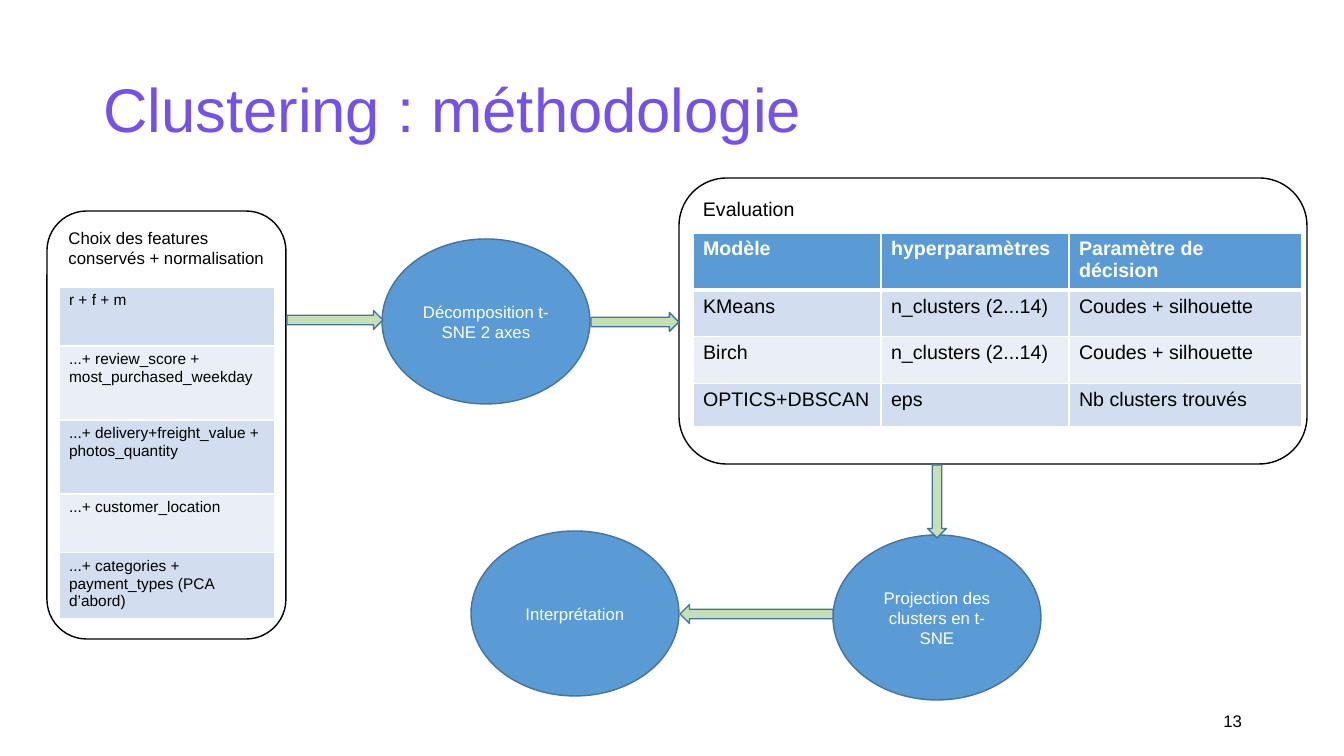
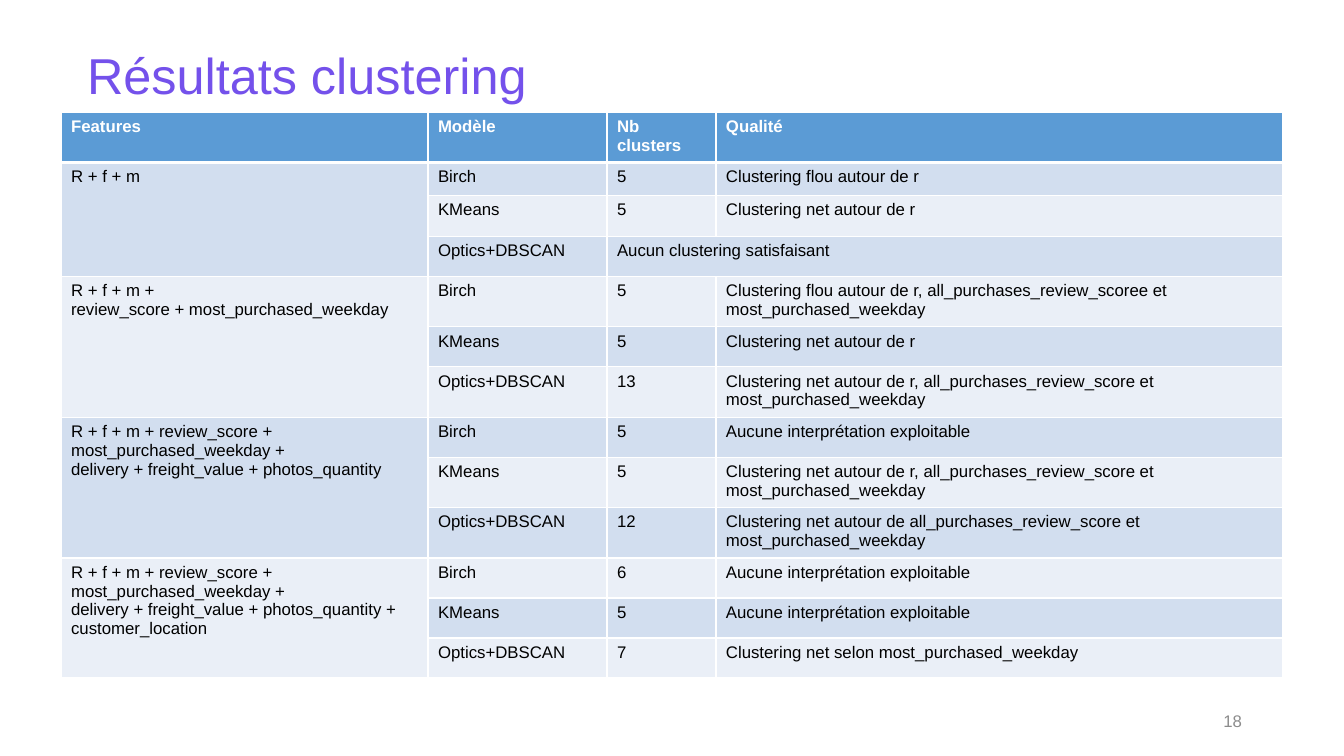
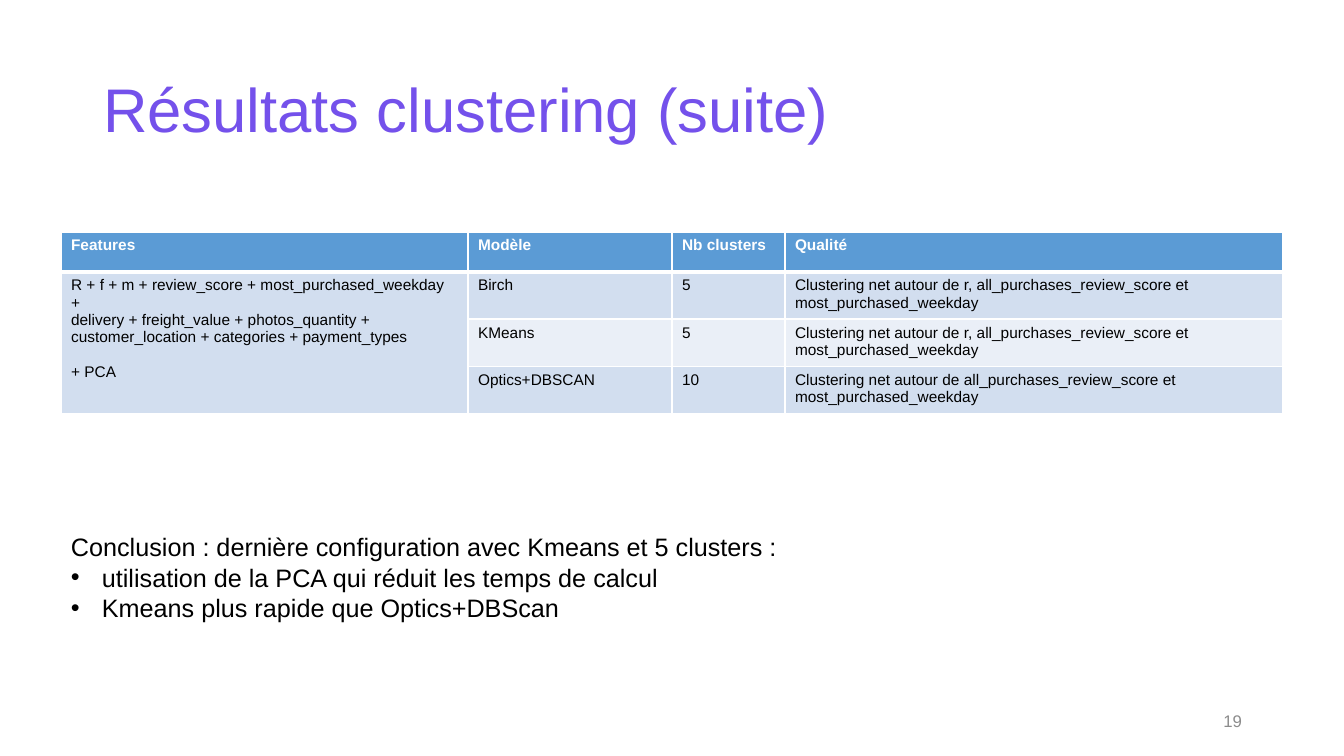
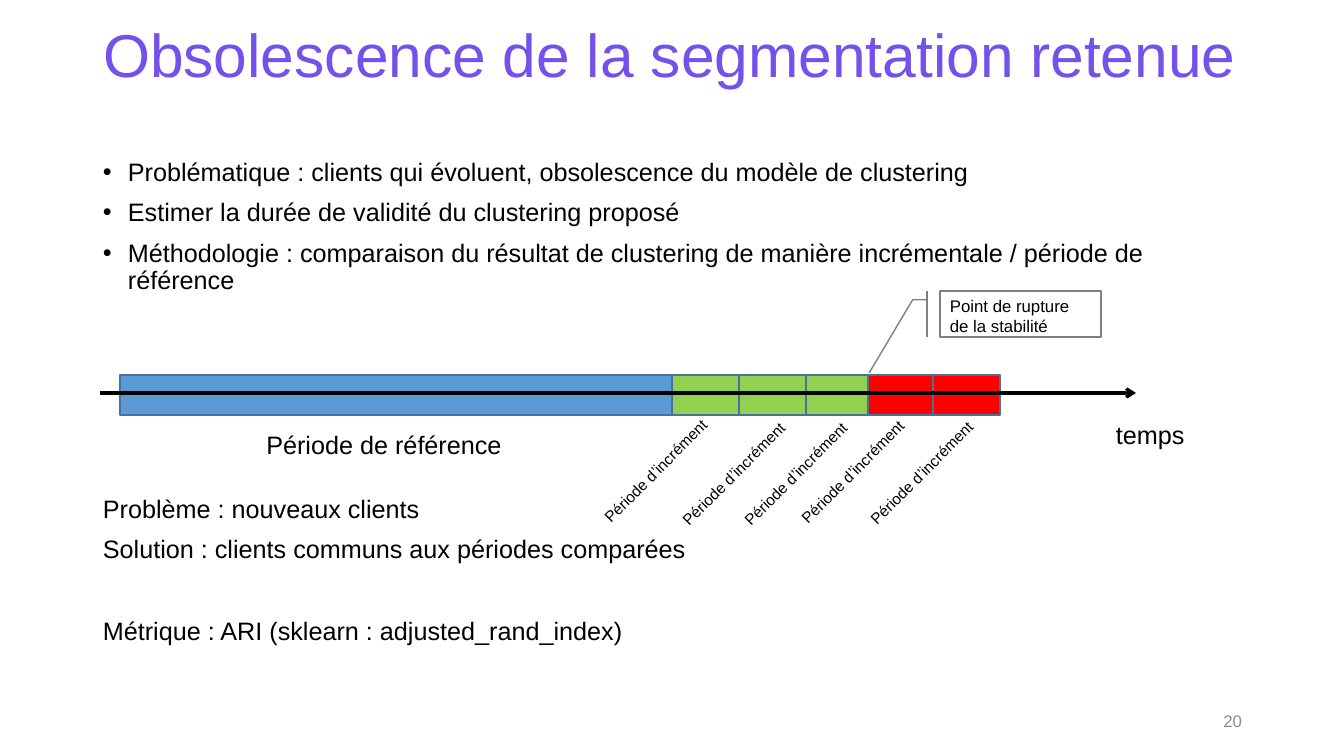
import math

from pptx import Presentation
from pptx import util as u
from pptx.dml.color import RGBColor
from pptx.enum import shapes, text
from pptx.oxml import parse_xml
from pptx.oxml.ns import nsdecls
from lxml import etree
from pptx.oxml.ns import qn

SCALE = 914400 / 100.8
FONT = "Arial"
COLOURS = {
    "title": "7451EB", "ink": "000000", "paper": "FFFFFF", "muted": "8C8C8C",
    "blue": "5B9BD5", "edge": "43739E", "arrow": "C5E0B4", "callout": "808080",
    "band_dark": "D2DEEF", "band_light": "EAEFF7",
    "stable": "92D050", "broken": "FF0000",
}
TITLE_BOX = (93, 40, 1159, 146)
HEADER = ("Features", "Modèle", "Nb clusters", "Qualité")
MODELS = ("Birch", "KMeans", "Optics+DBSCAN")
BLURRY = "Clustering flou autour de r"
NET = "Clustering net autour de r"
NET_REVIEW = "Clustering net autour de r, all_purchases_review_score et most_purchased_weekday"
NET_NO_R = "Clustering net autour de all_purchases_review_score et most_purchased_weekday"
UNUSABLE = "Aucune interprétation exploitable"
LONG_FEATURES = "R + f + m + review_score + most_purchased_weekday +"
DELIVERY = "delivery + freight_value + photos_quantity"


def px(length):
    """Turn a length in pixels into EMU."""
    return u.Emu(round(length * SCALE))


def place(box):
    """Turn a box in pixels into EMU lengths."""
    return [px(length) for length in box]


def rgb(name):
    """Look up a named colour."""
    return RGBColor.from_string(COLOURS[name])


def write(frame, lines, size=12, colour="ink", bold=False, align="LEFT",
          anchor=None, spacing=None, before=0, bullet=0):
    """Fill a text frame with one paragraph per line, all in one format."""
    frame.word_wrap = True
    if anchor:
        frame.vertical_anchor = text.MSO_ANCHOR[anchor]
    lines = [lines] if isinstance(lines, str) else lines
    for index, line in enumerate(lines):
        para = frame.add_paragraph() if index else frame.paragraphs[0]
        para.alignment = text.PP_ALIGN[align]
        para.space_before = u.Pt(before)
        if spacing:
            para.line_spacing = spacing
        if bullet:
            props = para._p.get_or_add_pPr()
            props.set("marL", str(px(bullet)))
            props.set("indent", str(-px(bullet)))
            etree.SubElement(props, qn("a:buFont")).set("typeface", FONT)
            etree.SubElement(props, qn("a:buChar")).set("char", "•")
        span = para.add_run()
        span.text = line
        span.font.name = FONT
        span.font.size = u.Pt(size)
        span.font.bold = bold
        span.font.color.rgb = rgb(colour)


def add_text(page, box, lines, rotation=0, **style):
    """Add a text box."""
    label = page.shapes.add_textbox(*place(box))
    label.rotation = rotation
    write(label.text_frame, lines, **style)


def add_shape(page, kind, box, fill=None, line="edge", lines=None, **style):
    """Add a preset shape with a one point outline and optional text."""
    shape = page.shapes.add_shape(shapes.MSO_SHAPE[kind], *place(box))
    shape.shadow.inherit = False
    if fill:
        shape.fill.solid()
        shape.fill.fore_color.rgb = rgb(fill)
    else:
        shape.fill.background()
    shape.line.color.rgb = rgb(line)
    shape.line.width = u.Pt(1)
    if lines:
        write(shape.text_frame, lines, **style)
    return shape


def add_page(deck, title, number, box=TITLE_BOX, size=44, spacing=0.9,
             number_colour="muted"):
    """Add a slide with its title and page number."""
    page = deck.slides.add_slide(deck.slide_layouts[5])
    heading = page.shapes.title
    heading.left, heading.top, heading.width, heading.height = place(box)
    heading.text_frame.auto_size = text.MSO_AUTO_SIZE.NONE
    write(heading.text_frame, title, size=size, colour="title",
          anchor="MIDDLE", spacing=spacing)
    add_text(page, (950, 701, 302, 40), str(number), colour=number_colour,
             align="RIGHT", anchor="MIDDLE")
    return page


def set_borders(cell, top, bottom):
    """Draw white cell borders, with top and bottom widths in points."""
    props = cell._tc.get_or_add_tcPr()
    for side, width in (("L", 1), ("R", 1), ("T", top), ("B", bottom)):
        props.append(parse_xml(
            f'<a:ln{side} {nsdecls("a")} w="{u.Pt(width)}"><a:solidFill>'
            f'<a:srgbClr val="{COLOURS["paper"]}"/></a:solidFill></a:ln{side}>'))


def add_grid(page, corner, widths, heights, rows, size, header=True):
    """Add a banded table; None continues the cell above (first column) or to the left."""
    box = (*corner, sum(widths), sum(heights))
    table = page.shapes.add_table(len(rows), len(widths), *place(box)).table
    table.first_row = header
    table.horz_banding = False
    for column, width in zip(table.columns, widths):
        column.width = px(width)
    for row, height in zip(table.rows, heights):
        row.height = px(height)
    for r, values in enumerate(rows):
        heading = header and r == 0
        band = ("band_dark", "band_light")[(r - header) % 2]
        for c, value in enumerate(values):
            cell = table.cell(r, c)
            set_borders(cell, 3 if header and r == 1 else 1, 3 if heading else 1)
            cell.fill.solid()
            cell.fill.fore_color.rgb = rgb("blue" if heading else band)
            if value is not None:
                write(cell.text_frame, value, size=size, bold=heading,
                      colour="paper" if heading else "ink")
    merge_gaps(table, rows)
    return table


def merge_gaps(table, rows):
    """Merge each cell with the None entries that follow it."""
    for r, values in enumerate(rows):
        for c, value in enumerate(values):
            if value is None:
                continue
            last_row, last_column = r, c
            if c == 0:
                while last_row + 1 < len(rows) and rows[last_row + 1][0] is None:
                    last_row += 1
            else:
                while last_column + 1 < len(values) and values[last_column + 1] is None:
                    last_column += 1
            if (last_row, last_column) != (r, c):
                table.cell(r, c).merge(table.cell(last_row, last_column))


def result_rows(groups):
    """List the header and one row per model for each feature set."""
    rows = [HEADER]
    for features, results in groups:
        for index, (model, result) in enumerate(zip(MODELS, results)):
            rows.append((None if index else features, model, *result))
    return rows


def add_flow_arrow(page, start, end, thickness=19):
    """Add a block arrow from one point to another."""
    (x1, y1), (x2, y2) = start, end
    length = math.dist(start, end)
    box = ((x1 + x2 - length) / 2, (y1 + y2 - thickness) / 2, length, thickness)
    arrow = add_shape(page, "RIGHT_ARROW", box, "arrow")
    arrow.rotation = math.degrees(math.atan2(y2 - y1, x2 - x1))


def add_features_panel(page, box):
    """Add the rounded panel that lists the feature sets."""
    left, top, _, _ = box
    add_shape(page, "FLOWCHART_ALTERNATE_PROCESS", box, line="ink", anchor="TOP",
              lines="Choix des features conservés + normalisation")
    features = ("r + f + m", "...+ review_score + most_purchased_weekday",
                "...+ delivery+freight_value + photos_quantity",
                "...+ customer_location",
                "...+ categories + payment_types (PCA d’abord)")
    add_grid(page, (left + 12, top + 76), [216], [59, 74, 74, 59, 60],
             [[feature] for feature in features], size=11, header=False)


def add_evaluation_panel(page, box):
    """Add the rounded panel that holds the table of models."""
    left, top, _, _ = box
    add_shape(page, "FLOWCHART_ALTERNATE_PROCESS", box, line="ink", anchor="TOP",
              lines="Evaluation", size=14)
    rows = [("Modèle", "hyperparamètres", ("Paramètre de", "décision")),
            ("KMeans", "n_clusters (2...14)", "Coudes + silhouette"),
            ("Birch", "n_clusters (2...14)", "Coudes + silhouette"),
            ("OPTICS+DBSCAN", "eps", "Nb clusters trouvés")]
    add_grid(page, (left + 14, top + 55), [188, 188, 233], [53, 46, 47, 43], rows, size=14)


def method_page(deck):
    """Show the steps of the method as a flow."""
    page = add_page(deck, "Clustering\u00a0: méthodologie", 13, number_colour="ink")
    add_features_panel(page, (47, 211, 239, 428))
    add_evaluation_panel(page, (679, 178, 628, 286))
    steps = [(382, 239, "Décomposition t-SNE 2 axes"),
             (833, 535, "Projection des clusters en t-SNE"),
             (471, 531, "Interprétation")]
    for left, top, step in steps:
        add_shape(page, "OVAL", (left, top, 208, 165), "blue", lines=step,
                  colour="paper", align="CENTER", anchor="MIDDLE")
    for start, end in [((287, 320), (383, 320)), ((591, 322), (679, 322)),
                       ((937, 465), (937, 538)), ((833, 614), (680, 614))]:
        add_flow_arrow(page, start, end)


def results_page(deck):
    """Show the results for the first four feature sets."""
    page = add_page(deck, "Résultats clustering", 18, (77, 10, 1237, 136), size=36)
    groups = [
        ("R + f + m",
         [("5", BLURRY), ("5", NET), ("Aucun clustering satisfaisant", None)]),
        (("R + f + m +", "review_score + most_purchased_weekday"),
         [("5", BLURRY + ", all_purchases_review_scoree et most_purchased_weekday"),
          ("5", NET), ("13", NET_REVIEW)]),
        ((LONG_FEATURES, DELIVERY),
         [("5", UNUSABLE), ("5", NET_REVIEW), ("12", NET_NO_R)]),
        ((LONG_FEATURES, DELIVERY + " + customer_location"),
         [("6", UNUSABLE), ("5", UNUSABLE),
          ("7", "Clustering net selon most_purchased_weekday")]),
    ]
    heights = [47, 33, 41, 40, 48, 40, 48, 40, 48, 48, 40, 40, 40]
    add_grid(page, (61, 112), [367, 179, 109, 567], heights, result_rows(groups), size=12)


def conclusion_page(deck):
    """Show the last results and the conclusion."""
    page = add_page(deck, "Résultats clustering (suite)", 19)
    features = (LONG_FEATURES,
                DELIVERY + " + customer_location + categories + payment_types", "+ PCA")
    rows = result_rows([(features, [("5", NET_REVIEW), ("5", NET_REVIEW), ("10", NET_NO_R)])])
    table = add_grid(page, (61, 232), [407, 204, 113, 498], [40, 44, 44, 44], rows, size=11)
    table.cell(1, 0).text_frame.paragraphs[-1].space_before = u.Pt(12.5)
    add_text(page, (61, 526, 1239, 40),
             "Conclusion\u00a0: dernière configuration avec Kmeans et 5 clusters\u00a0:", size=18)
    add_text(page, (61, 557, 1239, 70),
             ("utilisation de la PCA qui réduit les temps de calcul",
              "Kmeans plus rapide que Optics+DBScan"), size=18, bullet=31)


def add_timeline(page, box):
    """Add the reference period, the increments and the time axis."""
    left, top, _, height = box
    add_shape(page, "RECTANGLE", (left, top, 552, height), "blue")
    increments = [(552, "stable", 451, 68), (619, "stable", 529, 71),
                  (686, "stable", 591, 71), (748, "broken", 648, 69),
                  (813, "broken", 717, 70)]
    for offset, colour, label_x, label_y in increments:
        add_shape(page, "RECTANGLE", (left + offset, top, 67, height), colour)
        add_text(page, (left + label_x, top + label_y, 196, 28),
                 "Période d’incrément", rotation=315, size=11)
    add_text(page, (left + 36, top + 49, 456, 40), "Période de référence",
             size=18, align="CENTER")
    callout = add_shape(page, "LINE_CALLOUT_2_BORDER_AND_ACCENT_BAR",
                        (left + 820, top - 84, 161, 46), line="callout",
                        lines="Point de rupture de la stabilité", anchor="TOP")
    for index, value in enumerate((0.19, -0.08, 0.19, -0.17, 1.78, -0.44)):
        callout.adjustments[index] = value
    middle = top + 18
    axis = page.shapes.add_connector(
        shapes.MSO_CONNECTOR.STRAIGHT,
        *place((left - 20, middle, left + 1016, middle)))
    axis.line.color.rgb = rgb("ink")
    axis.line.width = u.Pt(2.25)
    etree.SubElement(axis.line._get_or_add_ln(), qn("a:tailEnd")).set("type", "arrow")
    etree.SubElement(axis._element.spPr, qn("a:effectLst"))
    add_text(page, (left + 986, top + 39, 104, 40), "temps", size=18)


def obsolescence_page(deck):
    """Show how the lifetime of the segmentation is estimated."""
    page = add_page(deck, "Obsolescence de la segmentation retenue", 20,
                    (93, 10, 1159, 96), size=43.2, spacing=0.88)
    style = {"size": 18, "spacing": 0.88, "before": 10}
    add_text(page, (93, 155, 1159, 145),
             ("Problématique\u00a0: clients qui évoluent, obsolescence du modèle de clustering",
              "Estimer la durée de validité du clustering proposé",
              "Méthodologie\u00a0: comparaison du résultat de clustering de manière "
              "incrémentale / période de référence"), bullet=25, **style)
    add_text(page, (93, 492, 1159, 80),
             ("Problème\u00a0: nouveaux clients",
              "Solution\u00a0: clients communs aux périodes comparées"), **style)
    add_text(page, (93, 614, 1159, 40),
             "Métrique\u00a0: ARI (sklearn\u00a0: adjusted_rand_index)", **style)
    add_timeline(page, (120, 375, 880, 40))


def main():
    """Build and save the deck."""
    deck = Presentation()
    deck.slide_width, deck.slide_height = px(1344), px(756)
    for build in (method_page, results_page, conclusion_page, obsolescence_page):
        build(deck)
    deck.save("out.pptx")


main()
